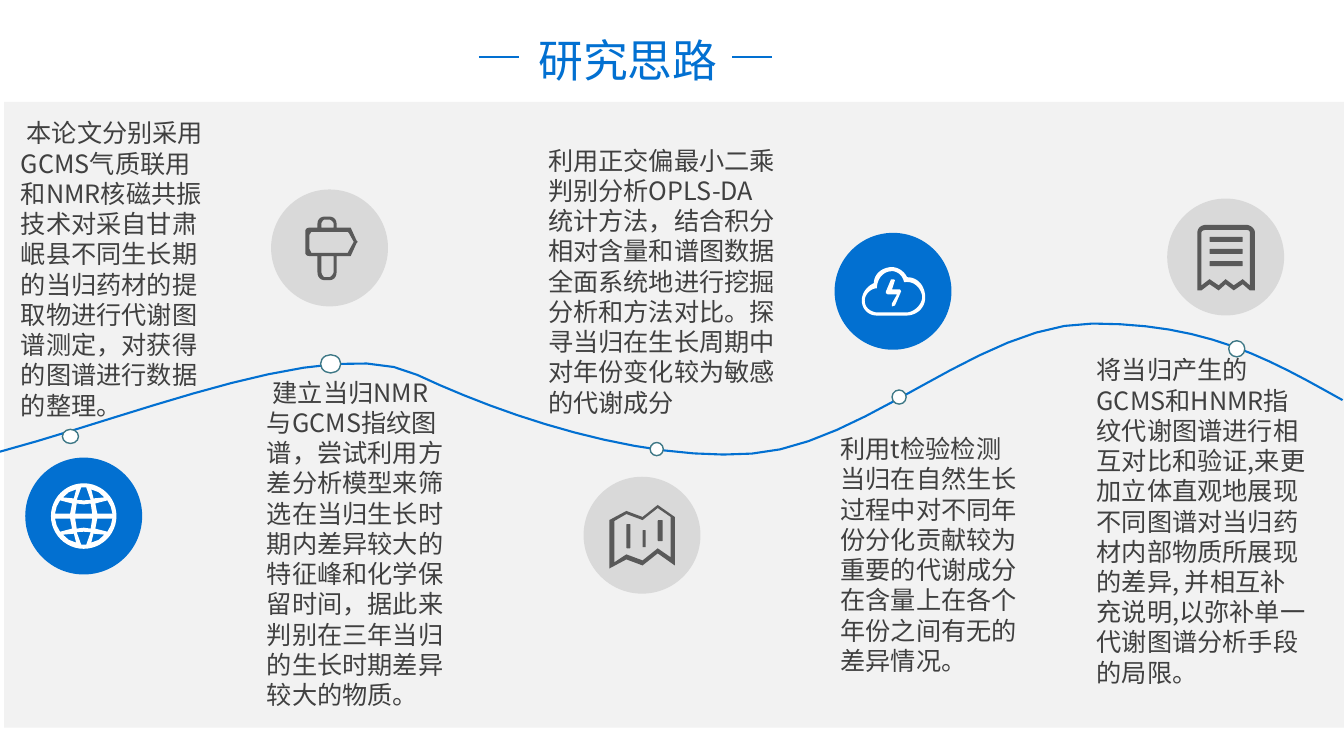
from pptx import Presentation
from pptx.dml.color import RGBColor as Rgb
from pptx.enum.shapes import MSO_CONNECTOR as Link, MSO_SHAPE as Kind
from pptx.enum.text import MSO_ANCHOR as Anchor, MSO_AUTO_SIZE as Fit, PP_ALIGN as Align
from pptx.oxml.ns import qn
from pptx.util import Pt
from lxml import etree

FONT = "Noto Sans CJK SC"
COLORS = {"blue": "0270D1", "panel": "F2F2F2", "white": "FFFFFF", "rim": "3E7886",
          "disc": "D9D9D9", "icon": "595959", "text": "404040"}
DISC = 83.5  # diameter of an icon disc
STEPS = 12   # line pieces for one curve

# Text columns: left, top, width, height, words
NOTES = [
    (7.9, 80.6, 149.8, 247, " 本论文分别采用GCMS气质联用和NMR核磁共振技术对采自甘肃岷县不同生长期的"
     "当归药材的提取物进行代谢图谱测定，对获得的图谱进行数据的整理。"),
    (183.6, 265.7, 145.4, 247, " 建立当归NMR与GCMS指纹图谱，尝试利用方差分析模型来筛选在当归生长时期内"
     "差异较大的特征峰和化学保留时间，据此来判别在三年当归的生长时期差异较大的物质。"),
    (384.5, 100.1, 177.1, 203.8, "利用正交偏最小二乘判别分析OPLS-DA统计方法，结合积分相对含量和谱图数据"
     "全面系统地进行挖掘分析和方法对比。探寻当归在生长周期中对年份变化较为敏感的代谢成分"),
    (593.3, 306, 142.6, 181.4, "利用t检验检测当归在自然生长过程中对不同年份分化贡献较为重要的代谢成分"
     "在含量上在各个年份之间有无的差异情况。"),
    (776.2, 249.8, 167, 247, "将当归产生的GCMS和HNMR指纹代谢图谱进行相互对比和验证,来更加立体直观地展现"
     "不同图谱对当归药材内部物质所展现的差异, 并相互补充说明,以弥补单一代谢图谱分析手段的局限。"),
]

# Dots on the wave: left, top, width, height
DOTS = [(44.6, 306.7, 11.5, 10.1), (229, 253.4, 14.4, 13), (464.4, 316.1, 9.4, 9.4),
        (637.2, 278.6, 10.1, 10.1), (877.7, 243.4, 11.5, 11.5)]

# Outlines: a pair is a corner, six numbers are a Bézier curve
WAVE = [(0, 322.6), (104.4, 294.5, 236.9, 238.3, 298.1, 267.8),
        (359.3, 296.6, 456.5, 329.8, 537.1, 324), (617.8, 318.2, 699.8, 231.1, 780.5, 231.1),
        (861.8, 231.1, 905, 255.6, 959, 285.8)]


def pill(x, y, w, h, r=1.4):
    """Outline of a box with round corners."""
    a, b = x + w, y + h
    return [(x + r, y), (a - r, y), (a, y, a, y, a, y + r), (a, b - r), (a, b, a, b, a - r, b),
            (x + r, b), (x, b, x, b, x, b - r), (x, y + r), (x, y, x, y, x + r, y)]


def ring(r):
    """Outline of a circle."""
    k = 0.55 * r
    return [(r, 0), (r, k, k, r, 0, r), (-k, r, -r, k, -r, 0),
            (-r, -k, -k, -r, 0, -r), (k, -r, r, -k, r, 0)]


def globe():
    """A circle with mirrored windows."""
    side = [[(16.9, -11.2), (19.3, -6.8), (20.5, -1.8), (9.7, -1.8), (8.3, -9)],
            [(14.8, -13.3), (7, -12.6), (5.4, -19), (10.7, -17)]]
    mid = [[(6.1, -1.8), (-6.1, -1.8), (-5, -9), (0, -8.3), (5, -9)],
           [(-1.8, -20.5), (1.8, -20.5), (5, -11.5), (0, -11.2), (-5, -11.5)]]
    half = side + mid + [[(-x, y) for x, y in pane] for pane in side]
    return [ring(23.4)] + half + [[(x, -y) for x, y in pane] for pane in half]


CLOUD = [
    [(10.1, -10.1), (7.9, -14.4, 3.6, -17.3, -0.7, -17.3), (-7.9, -17.3, -13.7, -12.2, -13.7, -5.8),
     (-18.7, -3.6, -22.3, 1.4, -22.3, 6.5), (-22.3, 12.2, -18, 17.3, -11.5, 17.3), (9.4, 17.3),
     (16.6, 17.3, 23, 12.2, 23, 4.3), (23, -3.6, 18, -10.1, 10.1, -10.1)],
    [(9.4, 15.1), (-11.5, 15.1), (-11.5, 15.1, -20.2, 14.4, -20.2, 6.5),
     (-20.2, 2.2, -15.8, -2.2, -11.5, -2.2), (-11.5, -8.6, -7.2, -14.4, -0.7, -14.4),
     (3.6, -14.4, 7.2, -10.8, 7.9, -6.5), (15.8, -7.9, 20.2, -1.4, 20.9, 3.6),
     (20.9, 10.1, 14.4, 15.1, 9.4, 15.1)],
    [(5, -1.4), (-0.7, -1.4), (1.4, -7.9), (0.7, -8.6), (-1.4, -8.6), (-5, 0), (-5, 1.4),
     (-3.6, 2.2), (2.9, 2.2), (-0.7, 8.6), (-0.7, 10.8), (1.4, 10.1), (5.8, 0)],
]
BILL = [
    [(-13.7, -23), (-17.3, -23, -20.2, -20.9, -20.2, -17.3), (-20.2, 23.8), (-17.3, 23.8),
     (-11.5, 19.4), (-5, 23.8), (0, 19.4), (5.8, 23.8), (12.2, 19.4), (17.3, 23.8),
     (20.9, 23.8), (20.9, -17.3), (20.9, -20.9, 17.3, -23, 14.4, -23)],
    [(17.3, 20.2), (12.2, 15.8), (5.8, 20.2), (0, 15.8), (-5, 20.2), (-11.5, 15.8),
     (-17.3, 20.2), (-17.3, -17.3), (-17.3, -18.7, -15.8, -19.4, -13.7, -19.4),
     (14.4, -19.4), (16.6, -19.4, 17.3, -18.7, 17.3, -17.3)],
] + [pill(-11.5, y, 23.7, 3.6) for y in (-14.4, -5.8, 2.9)]
MAP = [
    [(11.2, -21.6), (0.4, -13), (-11.2, -17.3), (-23.4, -10.8), (-23.4, 23.8), (-11.2, 17.3),
     (0.4, 21.6), (11.2, 13), (23.4, 21.6), (23.4, -13)],
    [(20.5, 15.8), (11.2, 9.4), (0.4, 18), (-11.2, 13.7), (-19.8, 19.4), (-19.8, -10.1),
     (-11.2, -15.1), (0.4, -10.8), (11.2, -19.4), (20.5, -13)],
    pill(-11.2, -7.9, 2.9, 17.3), pill(0.4, -3.6, 2.2, 12.2, 1), pill(11.2, -10.8, 3.6, 15.1),
]
SIGN = [
    [(19.4, -5), (15.1, -14.4), (5, -14.4), (5, -17.3), (5, -20.2, 2.9, -22.3, 0, -22.3),
     (-3.6, -22.3), (-6.5, -22.3, -8.6, -20.2, -8.6, -17.3), (-8.6, -14.4), (-14.4, -14.4),
     (-16.6, -14.4, -17.3, -13, -17.3, -11.5), (-17.3, 3.6), (-17.3, 4.3, -16.6, 5.8, -14.4, 5.8),
     (-8.6, 5.8), (-8.6, 17.3), (-8.6, 20.9, -6.5, 23, -3.6, 23), (0, 23),
     (2.9, 23, 5, 20.9, 5, 17.3), (5, 5.8), (15.1, 5.8), (19.4, -3.6), (20.2, -4.3)],
    [(-5.8, -17.3), (-5.8, -18.7, -4.3, -20.2, -3.6, -20.2), (0, -20.2),
     (0.7, -20.2, 2.9, -18.7, 2.9, -17.3), (2.9, -14.4), (-5.8, -14.4)],
    [(2.9, 17.3), (2.9, 18.7, 0.7, 20.9, 0, 20.9), (-3.6, 20.9),
     (-4.3, 20.9, -5.8, 18.7, -5.8, 17.3), (-5.8, 5.8), (2.9, 5.8)],
    [(13.7, 2.2), (13, 3.6), (-13, 3.6), (-14.4, 0.7), (-14.4, -9.4), (-13, -11.5),
     (13, -11.5), (13.7, -10.8), (17.3, -4.3)],
]

# Icons: disc centre, disc colour, icon colour, outlines
ICONS = [(59.8, 368.6, "blue", "white", globe()), (637.9, 208.1, "blue", "white", CLOUD),
         (875.5, 183.6, "disc", "icon", BILL), (458.6, 382.3, "disc", "icon", MAP),
         (235.4, 177.1, "disc", "icon", SIGN)]


def paint(shape, fill=None, line=None, width=1):
    shape.shadow.inherit = False
    for part, color in ((shape.fill, fill), (shape.line.fill, line)):
        if color:
            part.solid()
            part.fore_color.rgb = Rgb.from_string(COLORS[color])
        else:
            part.background()
    if line:
        shape.line.width = Pt(width)


def add_box(shapes, kind, x, y, w, h, *look):
    paint(shapes.add_shape(kind, Pt(x), Pt(y), Pt(w), Pt(h)), *look)


def trace(nodes):
    """Turn corners and curves into points, in hundredths."""
    dots = [nodes[0]]
    for node in nodes[1:]:
        if len(node) == 2:
            dots.append(node)
            continue
        ctrl = [dots[-1], node[:2], node[2:4], node[4:]]
        for step in range(1, STEPS + 1):
            t = step / STEPS
            mix = ((1 - t) ** 3, 3 * t * (1 - t) ** 2, 3 * t * t * (1 - t), t ** 3)
            dots.append(tuple(sum(m * c[i] for m, c in zip(mix, ctrl)) for i in (0, 1)))
    return [(100 * x, 100 * y) for x, y in dots]


def add_free(shapes, loops, x=0, y=0, close=True):
    first, *rest = map(trace, loops)
    form = shapes.build_freeform(*first[0], scale=Pt(1) / 100)
    form.add_line_segments(first[1:], close=close)
    for run in rest:
        form.move_to(*run[0])
        form.add_line_segments(run[1:], close=close)
    return form.convert_to_shape(Pt(x), Pt(y))


def add_icon(slide, x, y, disc, ink, loops):
    shapes = slide.shapes.add_group_shape().shapes
    add_box(shapes, Kind.OVAL, x - DISC / 2, y - DISC / 2, DISC, DISC, disc)
    paint(add_free(shapes, loops, x, y), ink)


def write(shape, words, size, color):
    frame = shape.text_frame
    frame.word_wrap, frame.auto_size = True, Fit.NONE
    frame.vertical_anchor = Anchor.TOP
    para = frame.paragraphs[0]
    para.text, para.alignment = words, Align.LEFT
    font = para.font
    font.size, font.name = Pt(size), FONT
    font.color.rgb = Rgb.from_string(COLORS[color])
    latin = para._p.find(".//" + qn("a:latin"))
    latin.addnext(etree.Element(qn("a:ea"), typeface=FONT))
    return para


def add_dash(slide, x, y, w):
    dash = slide.shapes.add_connector(Link.STRAIGHT, Pt(x), Pt(y), Pt(x + w), Pt(y))
    dash.line.color.rgb = Rgb.from_string(COLORS["blue"])
    dash.line.width = Pt(1.5)
    etree.SubElement(dash._element.spPr, qn("a:effectLst"))


def main():
    deck = Presentation()
    deck.slide_width, deck.slide_height = Pt(960), Pt(540)
    slide = deck.slides.add_slide(deck.slide_layouts[5])
    shapes = slide.shapes
    # Panel and title
    add_box(shapes, Kind.RECTANGLE, 2.9, 72.7, 957.1, 447.1, "panel")
    title = shapes.title
    title.left, title.top, title.width, title.height = Pt(377.3), Pt(12.2), Pt(173.5), Pt(52.6)
    write(title, "研究思路", 32, "blue").line_spacing = 1.2
    for x in (342, 522.9):
        add_dash(slide, x, 41, 28.6)
    # Wave with dots
    paint(add_free(shapes, [WAVE], close=False), None, "blue", 1.5)
    for dot in DOTS:
        add_box(shapes, Kind.OVAL, *dot, "white", "rim")
    # Icons and text columns
    for icon in ICONS:
        add_icon(slide, *icon)
    for *spot, words in NOTES:
        write(shapes.add_textbox(*map(Pt, spot)), words, 18, "text")
    deck.save("out.pptx")


if __name__ == "__main__":
    main()
